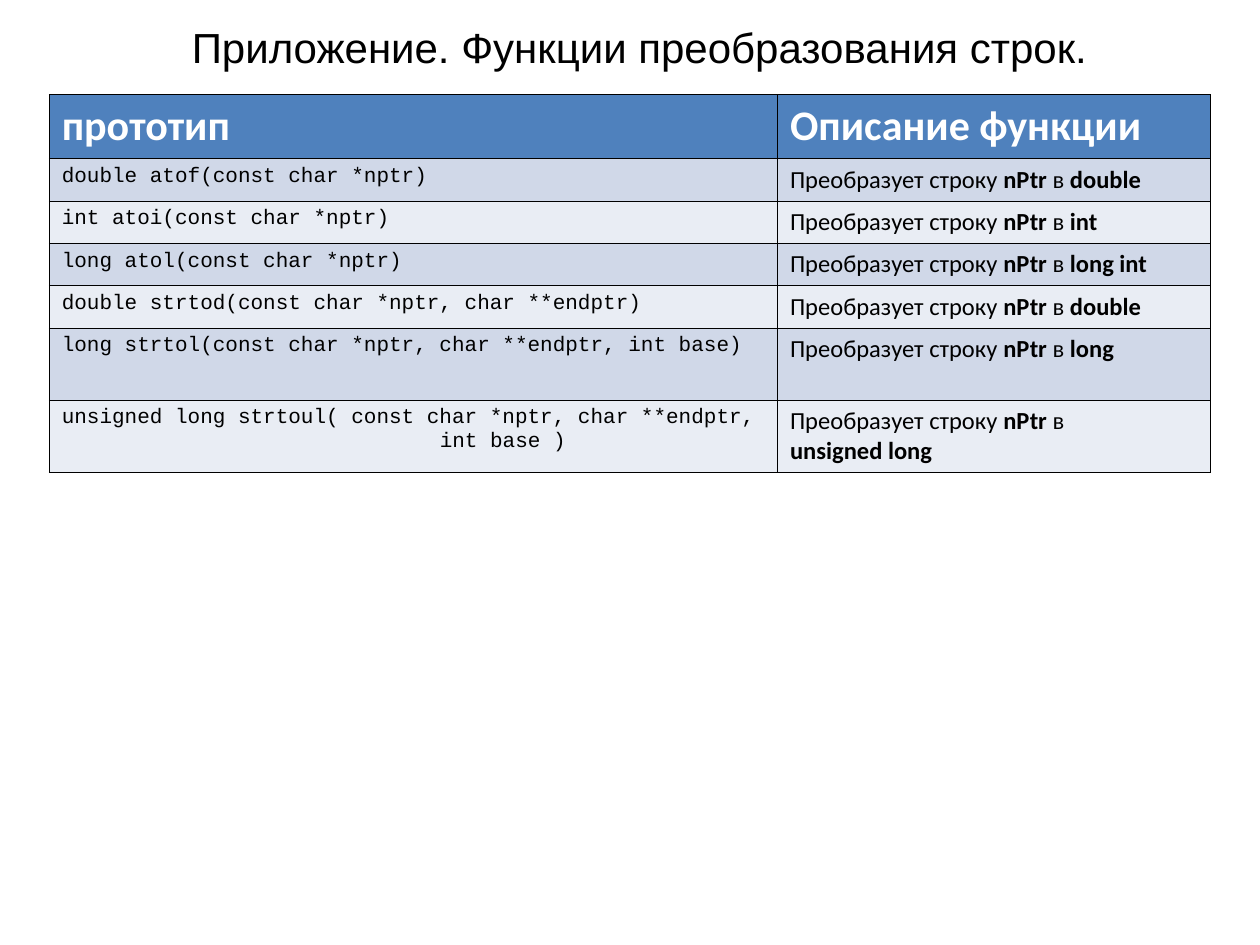
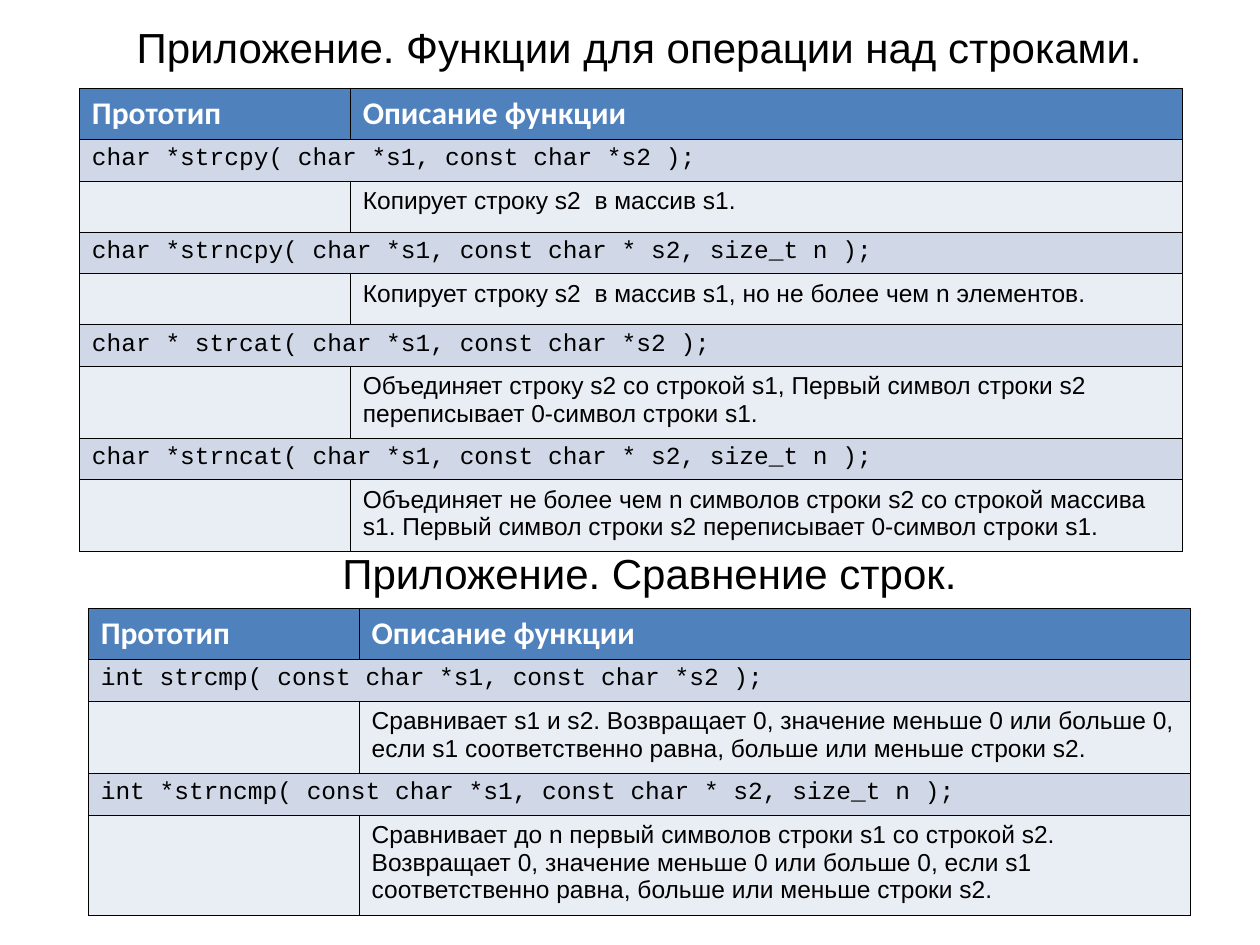
"""Build two slides of reference tables for C string functions."""
import lxml.etree
import pptx
import pptx.dml.color
import pptx.enum.text
import pptx.oxml.ns
import pptx.util

Inches = pptx.util.Inches
BLACK, WHITE = "000000", "FFFFFF"
HEADER_FILL = "4F81BD"
BAND_FILLS = ("D0D8E8", "E9EDF4")
BORDER_WIDTH = 0.45
CODE_FONT, TEXT_FONT, TABLE_FONT = "Courier New", "Arial", "Calibri"
TITLE_ONLY_LAYOUT = 5

CONVERSIONS = [
    ("double atof(const char *nptr)", "Преобразует строку |nPtr |в |double"),
    ("int atoi(const char *nptr)", "Преобразует строку |nPtr |в |int"),
    ("long atol(const char *nptr)", "Преобразует строку |nPtr |в |long int"),
    ("double strtod(const char *nptr, char **endptr)",
     "Преобразует строку |nPtr |в |double"),
    ("long strtol(const char *nptr, char **endptr, int base)",
     "Преобразует строку |nPtr |в |long"),
    ("unsigned long strtoul( const char *nptr, char **endptr,\nint base )",
     "Преобразует строку |nPtr |в\n|unsigned long"),
]
OPERATIONS = [
    ("char *strcpy( char *s1, const char *s2 );",
     "Копирует строку s2  в массив s1."),
    ("сhar *strncpy( char *s1, const char * s2, size_t n );",
     "Копирует строку s2  в массив s1, но не более чем n элементов."),
    ("char * strcat( char *s1, const char *s2 );",
     "Объединяет строку s2 со строкой s1, Первый символ строки s2 "
     "переписывает 0-символ строки s1."),
    ("char *strncat( char *s1, const char * s2, size_t n );",
     "Объединяет не более чем n символов строки s2 со строкой массива s1. "
     "Первый символ строки s2 переписывает 0-символ строки s1."),
]
COMPARISONS = [
    ("int strcmp( const char *s1, const char *s2 );",
     "Сравнивает s1 и s2. Возвращает 0, значение меньше 0 или больше 0, "
     "если s1 соответственно равна, больше или меньше строки s2."),
    ("int *strncmp( const char *s1, const char * s2, size_t n );",
     "Сравнивает до n первый символов строки s1 со строкой s2. "
     "Возвращает 0, значение меньше 0 или больше 0, если s1 "
     "соответственно равна, больше или меньше строки s2."),
]


def color(value):
    """Turn a hex string into a colour."""
    return pptx.dml.color.RGBColor.from_string(value)


def format_font(font, name, size, shade=BLACK, bold=False):
    """Set the face, size, colour and weight of a font."""
    font.name = name
    font.size = pptx.util.Pt(size)
    font.bold = bold
    font.color.rgb = color(shade)


def write_heading(box, text, left, top):
    """Place a heading box and write its centred line."""
    box.left, box.top = Inches(left), Inches(top)
    box.width, box.height = Inches(9.69), Inches(0.5)
    frame = box.text_frame
    frame.word_wrap = True
    frame.text = text
    para = frame.paragraphs[0]
    para.alignment = pptx.enum.text.PP_ALIGN.CENTER
    format_font(para.runs[0].font, TEXT_FONT, 24)


def add_titled_slide(deck, title):
    """Add a slide with its title at the top."""
    slide = deck.slides.add_slide(deck.slide_layouts[TITLE_ONLY_LAYOUT])
    write_heading(slide.shapes.title, title, 0.23, 0.12)
    return slide


def style_cell(cell, fill):
    """Give a cell thin black borders and a solid fill."""
    properties = cell._tc.get_or_add_tcPr()
    qn = pptx.oxml.ns.qn
    for side in ("lnL", "lnR", "lnT", "lnB"):
        line = lxml.etree.SubElement(properties, qn(f"a:{side}"))
        line.set("w", str(pptx.util.Pt(BORDER_WIDTH)))
        paint = lxml.etree.SubElement(line, qn("a:solidFill"))
        lxml.etree.SubElement(paint, qn("a:srgbClr")).set("val", BLACK)
    cell.fill.solid()
    cell.fill.fore_color.rgb = color(fill)


def write_cell(cell, text, name, size, shade=BLACK, bold=False):
    """Write lines into a cell, with every second part between bars bold."""
    frame = cell.text_frame
    for index, line in enumerate(text.split("\n")):
        para = frame.add_paragraph() if index else frame.paragraphs[0]
        for position, part in enumerate(line.split("|")):
            if part:
                span = para.add_run()
                span.text = part
                format_font(span.font, name, size, shade, bold or position % 2 == 1)


def add_grid(slide, left, top, widths, heights, headers, header_size):
    """Add a bordered, banded table with its header row."""
    frame = slide.shapes.add_table(
        len(heights), len(widths), Inches(left), Inches(top),
        Inches(sum(widths)), Inches(sum(heights)))
    table = frame.table
    table.first_row = table.horz_banding = False
    for column, width in zip(table.columns, widths):
        column.width = Inches(width)
    for index, (row, height) in enumerate(zip(table.rows, heights)):
        row.height = Inches(height)
        for cell in row.cells:
            style_cell(cell, BAND_FILLS[(index - 1) % 2] if index else HEADER_FILL)
    for cell, header in zip(table.rows[0].cells, headers):
        write_cell(cell, header, TABLE_FONT, header_size, WHITE, True)
    return table


def add_conversion_table(slide):
    """Add the table with prototype and description side by side."""
    table = add_grid(slide, 0.39, 0.75, (5.78, 3.44),
                     [0.5] + [0.33] * 4 + [0.57] * 2,
                     ("прототип", "Описание функции"), 24)
    for row, (prototype, description) in enumerate(CONVERSIONS, 1):
        write_cell(table.cell(row, 0), prototype, CODE_FONT, 12)
        write_cell(table.cell(row, 1), description, TABLE_FONT, 14)
        for para in table.cell(row, 0).text_frame.paragraphs[1:]:
            para._p.get_or_add_pPr().set("marL", str(Inches(3)))


def add_function_table(slide, left, top, functions, description_heights):
    """Add a table with each description under its full-width prototype."""
    heights = [0.4]
    for height in description_heights:
        heights += [0.33, height]
    table = add_grid(slide, left, top, (2.15, 6.6), heights,
                     ("Прототип", "Описание функции"), 18)
    for index, (prototype, description) in enumerate(functions):
        row = 2 * index + 1
        table.cell(row, 0).merge(table.cell(row, 1))
        write_cell(table.cell(row, 0), prototype, CODE_FONT, 14)
        write_cell(table.cell(row + 1, 1), description, TEXT_FONT, 14)


def main():
    """Build the deck and save it."""
    deck = pptx.Presentation()
    deck.slide_width, deck.slide_height = Inches(10), Inches(7.5)

    slide = add_titled_slide(deck, "Приложение. Функции преобразования строк.")
    add_conversion_table(slide)

    slide = add_titled_slide(deck, "Приложение. Функции для операции над строками.")
    add_function_table(slide, 0.63, 0.7, OPERATIONS, (0.33, 0.33, 0.57, 0.57))
    box = slide.shapes.add_textbox(0, 0, 0, 0)
    write_heading(box, "Приложение. Сравнение строк.", 0.31, 4.3)
    add_function_table(slide, 0.7, 4.83, COMPARISONS, (0.57, 0.8))

    deck.save("out.pptx")


if __name__ == "__main__":
    main()
